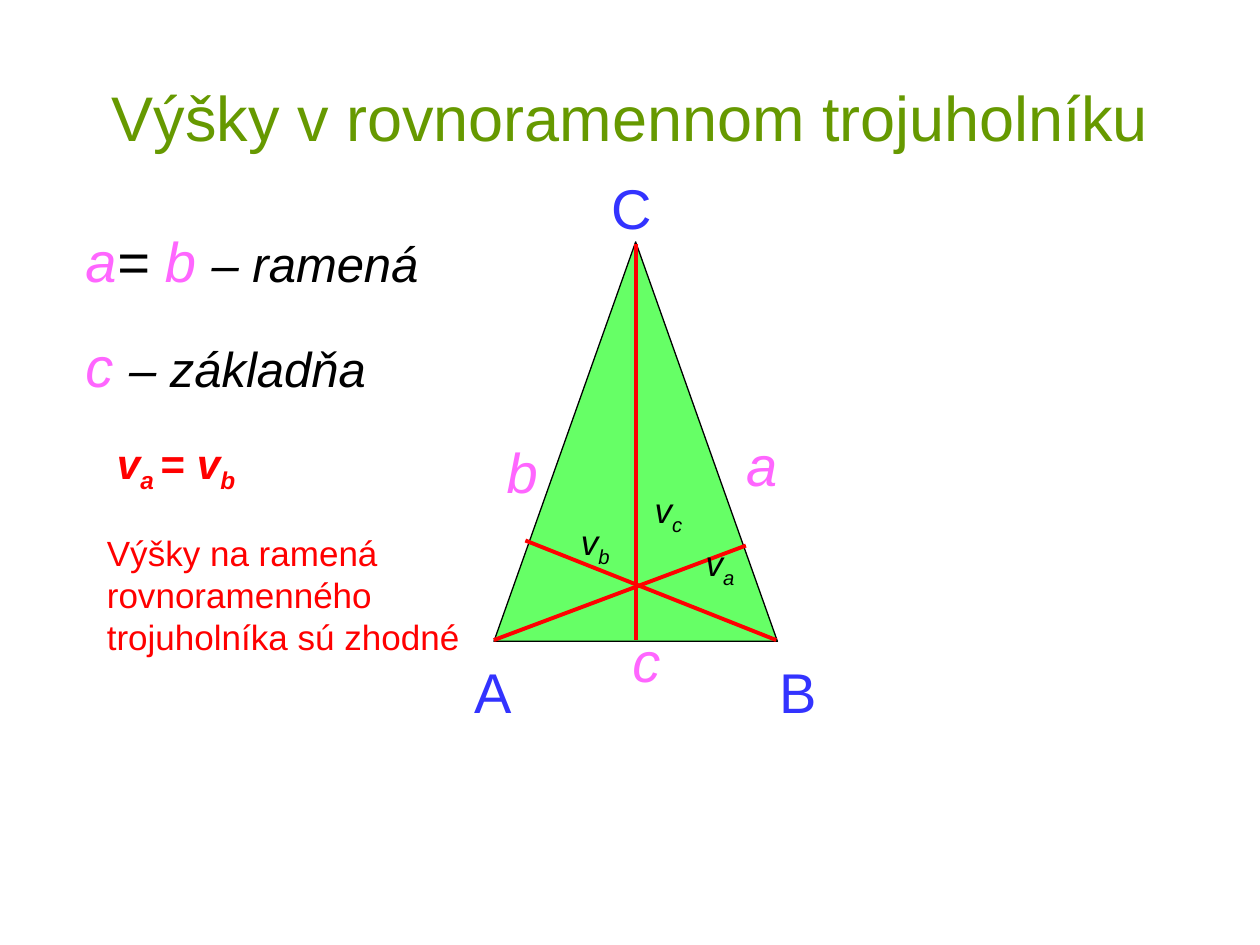
from lxml import etree
from pptx import Presentation
from pptx.dml.color import RGBColor
from pptx.enum.shapes import MSO_CONNECTOR, MSO_SHAPE
from pptx.enum.text import MSO_ANCHOR, PP_ALIGN
from pptx.oxml.ns import qn
from pptx.util import Inches, Pt

TRIANGLE = MSO_SHAPE.FLOWCHART_EXTRACT
STRAIGHT = MSO_CONNECTOR.STRAIGHT
LEFT, CENTER = PP_ALIGN.LEFT, PP_ALIGN.CENTER
TOP, MIDDLE = MSO_ANCHOR.TOP, MSO_ANCHOR.MIDDLE

FONT = "Arial"
COLORS = {
    "title": "669900",
    "triangle": "66FF66",
    "vertex": "3333FF",
    "side": "FF66FF",
    "altitude": "FF0000",
    "black": "000000",
}


def rgb(name):
    return RGBColor.from_string(COLORS[name])


def add_text(slide, box, runs, size=20, color="black", bold=False, italic=False,
             align=LEFT, anchor=TOP, wrap=True):
    """Add a text box; runs are (text, overrides) pairs or one plain string."""
    tf = slide.shapes.add_textbox(*map(Inches, box)).text_frame
    tf.word_wrap = wrap
    tf.vertical_anchor = anchor
    p = tf.paragraphs[0]
    p.alignment = align
    if isinstance(runs, str):
        runs = [(runs, {})]
    for text, own in runs:
        r = p.add_run()
        r.text = text
        r.font.name = FONT
        r.font.size = Pt(own.get("size", size))
        r.font.bold = bold
        r.font.italic = own.get("italic", italic)
        r.font.color.rgb = rgb(own.get("color", color))
        if own.get("sub"):
            r.font._rPr.set("baseline", "-25000")


def add_triangle(slide, box):
    sp = slide.shapes.add_shape(TRIANGLE, *map(Inches, box))
    sp.shadow.inherit = False
    sp.fill.solid()
    sp.fill.fore_color.rgb = rgb("triangle")
    sp.line.color.rgb = rgb("black")
    sp.line.width = Pt(0.75)


def add_altitude(slide, start, end):
    line = slide.shapes.add_connector(STRAIGHT, *map(Inches, start + end))
    line.line.color.rgb = rgb("altitude")
    line.line.width = Pt(2.25)
    etree.SubElement(line._element.spPr, qn("a:effectLst"))


def main():
    prs = Presentation()
    prs.slide_width, prs.slide_height = Inches(10), Inches(7.5)
    slide = prs.slides.add_slide(prs.slide_layouts[6])
    sub = {"sub": True}

    add_text(slide, (0.5, 0.3, 9, 1.25), "Výšky v rovnoramennom trojuholníku",
             size=36, color="title", align=CENTER, anchor=MIDDLE)

    add_triangle(slide, (3.92, 1.92, 2.25, 3.17))

    # Vertex and side labels
    for text, x, y, w, color in (
        ("A", 3.67, 5.17, 0.49, "vertex"),
        ("B", 6.09, 5.17, 0.49, "vertex"),
        ("C", 4.75, 1.33, 0.52, "vertex"),
        ("a", 5.82, 3.37, 0.45, "side"),
        ("b", 3.92, 3.42, 0.45, "side"),
        ("c", 4.92, 4.92, 0.42, "side"),
    ):
        add_text(slide, (x, y, w, 0.64), text, size=32, color=color,
                 italic=color == "side", align=CENTER, wrap=False)

    # Names of the sides
    note = {"size": 28, "color": "black"}
    add_text(slide, (0.58, 1.75, 4.33, 0.64),
             [("a", {}), ("=", {"color": "black"}), (" b ", {}), ("– ramená", note)],
             size=32, color="side", italic=True)
    add_text(slide, (0.58, 2.58, 3.45, 0.64), [("c ", {}), ("– základňa", note)],
             size=32, color="side", italic=True)

    # Altitudes from C, A and B, then their labels
    for start, end in (
        ((5.05, 1.94), (5.05, 5.08)),
        ((3.92, 5.08), (5.92, 4.33)),
        ((6.16, 5.08), (4.17, 4.29)),
    ):
        add_altitude(slide, start, end)
    for side, x, y in (("c", 5.09, 3.83), ("b", 4.51, 4.08), ("a", 5.5, 4.25)):
        add_text(slide, (x, y, 0.43, 0.48), [("v", {}), (side, sub)],
                 italic=True, align=CENTER, wrap=False)

    # Conclusion
    add_text(slide, (0.83, 3.42, 2.25, 1.01),
             [("v", {}), ("a ", sub), ("= ", {"italic": False}), ("v", {}), ("b", sub)],
             size=24, color="altitude", bold=True, italic=True)
    add_text(slide, (0.75, 4.17, 3.17, 1.1),
             "Výšky na ramená rovnoramenného trojuholníka sú zhodné",
             color="altitude")

    prs.save("out.pptx")


if __name__ == "__main__":
    main()
